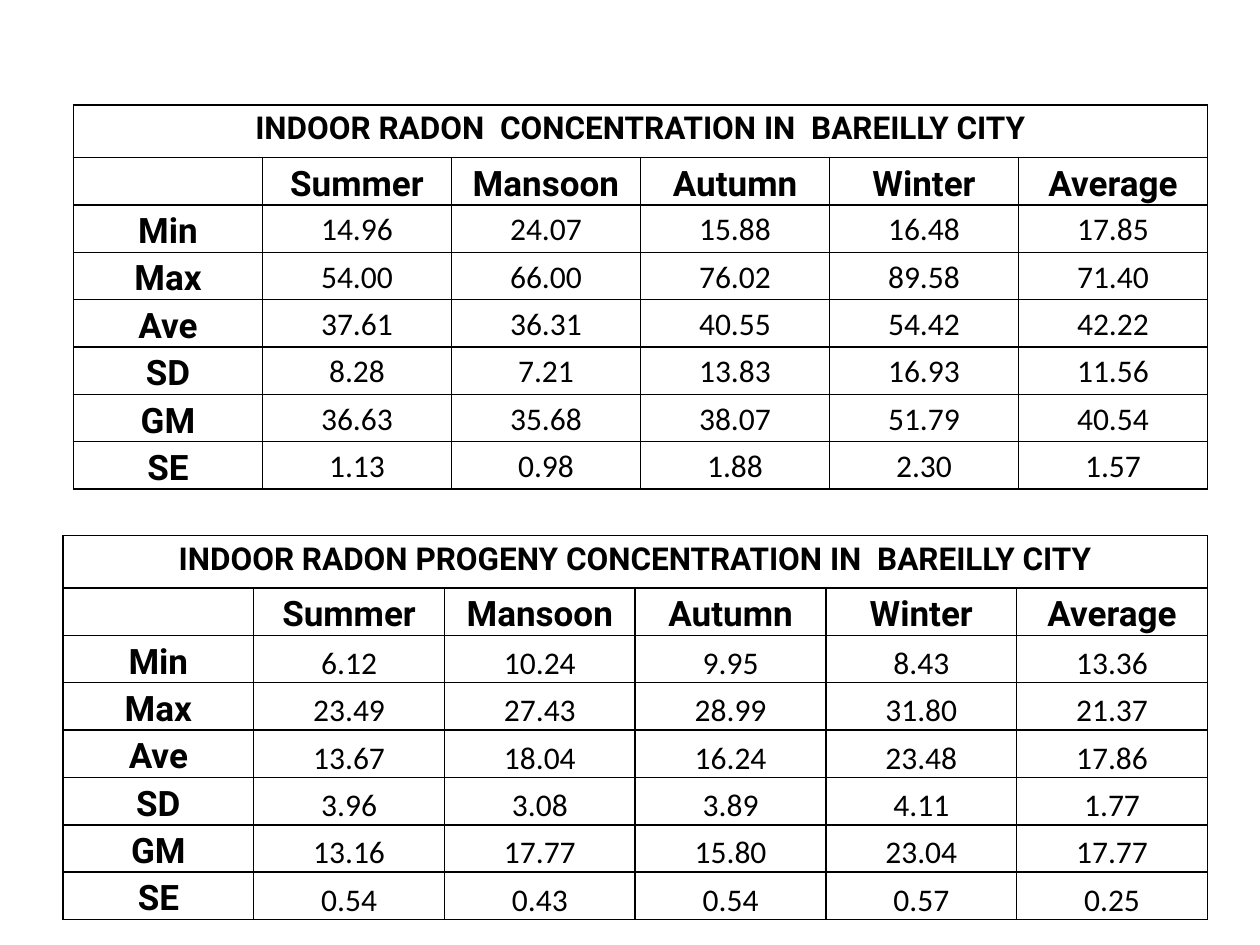
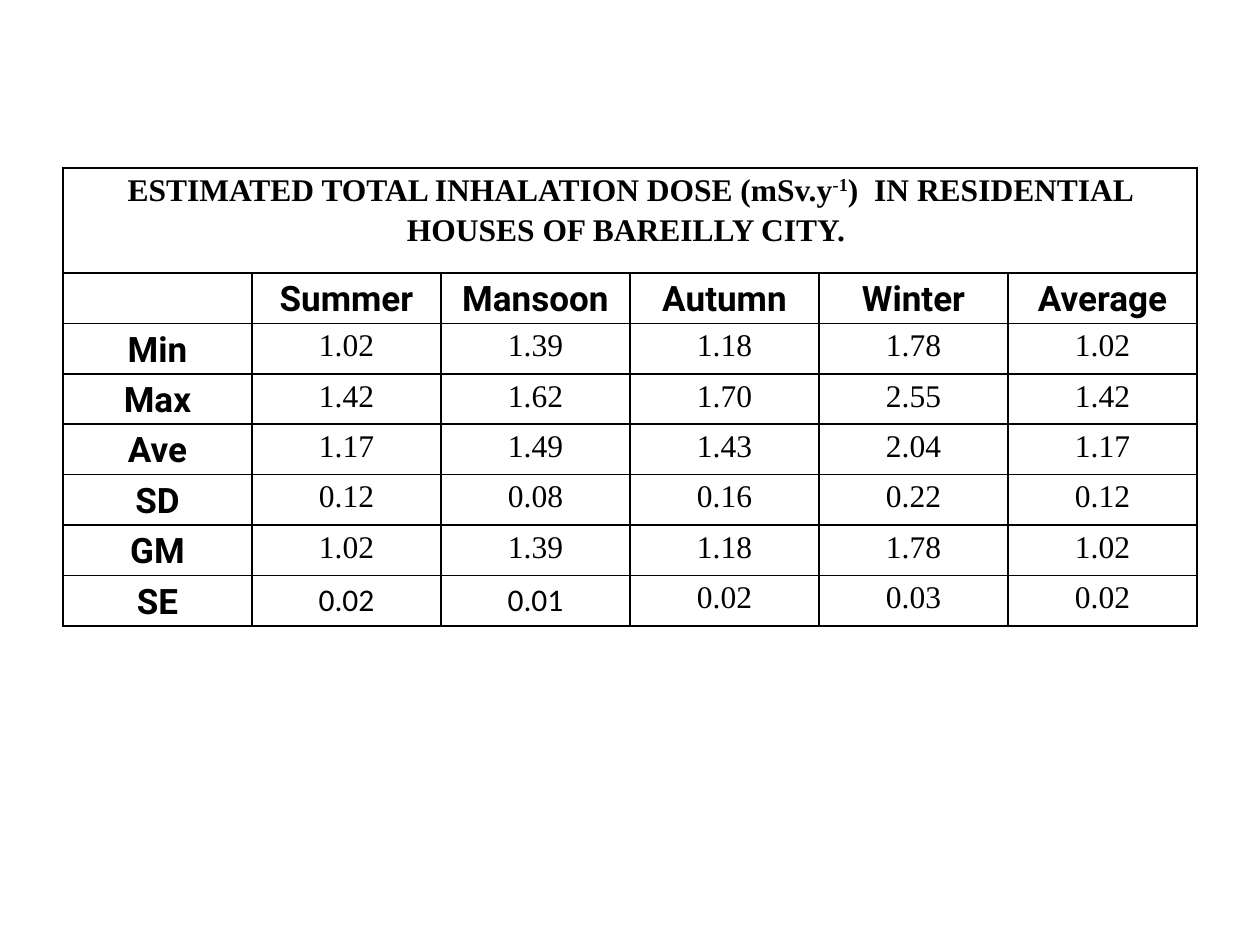
from dataclasses import dataclass, field

from lxml import etree
from pptx import Presentation
from pptx.dml.color import RGBColor
from pptx.enum.text import MSO_ANCHOR, PP_ALIGN
from pptx.oxml.ns import qn
from pptx.util import Emu, Inches, Pt

CENTER = PP_ALIGN.CENTER
TOP, BOTTOM = MSO_ANCHOR.TOP, MSO_ANCHOR.BOTTOM

SLIDE_W, SLIDE_H = Inches(10), Inches(7.5)
COL, ROW = SLIDE_W / 12, SLIDE_H / 9
BLACK = "000000"
HEAD_FONT, VALUE_FONT, SERIF = "Roboto", "Calibri", "Times New Roman"
SEASONS = ["Summer", "Mansoon", "Autumn", "Winter", "Average"]
STATISTICS = ["Min", "Max", " Ave ", "SD", "GM", "SE"]


@dataclass
class SeasonTable:
    """Places are in grid columns and rows; title pieces alternate normal and superscript."""
    title: list[str]
    left: float
    top: float
    width: float
    values: str
    title_height: float = 0.5
    row_height: float = 0.44
    title_font: str = HEAD_FONT
    value_font: str = VALUE_FONT
    value_margin: float = 0.06
    value_anchor: MSO_ANCHOR = TOP
    value_space_after: float = 0
    font_exceptions: dict[tuple[int, int], str] = field(default_factory=dict)


RADON = SeasonTable(
    ["INDOOR RADON  CONCENTRATION IN  BAREILLY CITY"], 0.7, 1, 10.8,
    """14.96 24.07 15.88 16.48 17.85
    54.00 66.00 76.02 89.58 71.40
    37.61 36.31 40.55 54.42 42.22
    8.28 7.21 13.83 16.93 11.56
    36.63 35.68 38.07 51.79 40.54
    1.13 0.98 1.88 2.30 1.57""",
    value_margin=0.07)

PROGENY = SeasonTable(
    ["INDOOR RADON PROGENY CONCENTRATION IN  BAREILLY CITY"], 0.6, 5.1, 10.9,
    """6.12 10.24 9.95 8.43 13.36
    23.49 27.43 28.99 31.80 21.37
    13.67 18.04 16.24 23.48 17.86
    3.96 3.08 3.89 4.11 1.77
    13.16 17.77 15.80 23.04 17.77
    0.54 0.43 0.54 0.57 0.25""",
    value_anchor=BOTTOM, value_space_after=10)

DOSE = SeasonTable(
    ["ESTIMATED TOTAL INHALATION DOSE (mSv.y", "-1",
     ")  IN RESIDENTIAL HOUSES OF BAREILLY CITY. "], 0.6, 1.6, 10.8,
    """1.02 1.39 1.18 1.78 1.02
    1.42 1.62 1.70 2.55 1.42
    1.17 1.49 1.43 2.04 1.17
    0.12 0.08 0.16 0.22 0.12
    1.02 1.39 1.18 1.78 1.02
    0.02 0.01 0.02 0.03 0.02""",
    title_height=1, row_height=0.48, title_font=SERIF, value_font=SERIF,
    font_exceptions={(5, 0): VALUE_FONT, (5, 1): VALUE_FONT})


def color(value: str) -> RGBColor:
    return RGBColor.from_string(value)


def frame_cell(cell) -> None:
    """Give a cell thin black borders and no fill."""
    tc_pr = cell._tc.get_or_add_tcPr()
    for side in ("lnL", "lnR", "lnT", "lnB"):
        line = etree.SubElement(tc_pr, qn(f"a:{side}"), w=str(Pt(1)))
        fill = etree.SubElement(line, qn("a:solidFill"))
        etree.SubElement(fill, qn("a:srgbClr"), val=BLACK)
    cell.fill.background()
    cell.margin_top = cell.margin_bottom = 0


def write_cell(cell, pieces: list[str], font: str, size: float, bold: bool = True,
               margin: float = 0.07, anchor: MSO_ANCHOR = TOP, space_after: float = 0) -> None:
    cell.margin_left = cell.margin_right = Inches(margin)
    cell.vertical_anchor = anchor
    p = cell.text_frame.paragraphs[0]
    p.alignment, p.line_spacing = CENTER, 1.15
    p.space_after = Pt(space_after)
    p.font.name, p.font.size, p.font.bold = font, Pt(size), bold
    p.font.color.rgb = color(BLACK)
    for i, piece in enumerate(pieces):
        r = p.add_run()
        r.text = piece
        if i % 2:
            r._r.get_or_add_rPr().set("baseline", "30000")


def add_season_table(s, spec: SeasonTable) -> None:
    n_rows, n_cols = len(STATISTICS) + 2, len(SEASONS) + 1
    height = spec.title_height + spec.row_height * (n_rows - 1)
    table = s.shapes.add_table(n_rows, n_cols, Emu(round(spec.left * COL)),
                               Emu(round(spec.top * ROW)), Emu(round(spec.width * COL)),
                               Emu(round(height * ROW))).table
    table.first_row = table.horz_banding = False
    for i, row in enumerate(table.rows):
        row.height = Emu(round((spec.row_height if i else spec.title_height) * ROW))
    for cell in table.iter_cells():
        frame_cell(cell)

    table.cell(0, 0).merge(table.cell(0, n_cols - 1))
    write_cell(table.cell(0, 0), spec.title, spec.title_font, 18)
    for j, season in enumerate(SEASONS, 1):
        write_cell(table.cell(1, j), [season], HEAD_FONT, 20)
    for i, (statistic, line) in enumerate(zip(STATISTICS, spec.values.splitlines())):
        write_cell(table.cell(i + 2, 0), [statistic], HEAD_FONT, 20)
        for j, value in enumerate(line.split()):
            font = spec.font_exceptions.get((i, j), spec.value_font)
            write_cell(table.cell(i + 2, j + 1), [value], font, 18, False,
                       spec.value_margin, spec.value_anchor, spec.value_space_after)


def main() -> None:
    prs = Presentation()
    prs.slide_width, prs.slide_height = SLIDE_W, SLIDE_H
    for tables in ([PROGENY, RADON], [DOSE]):
        s = prs.slides.add_slide(prs.slide_layouts[6])
        for table in tables:
            add_season_table(s, table)
    prs.save("out.pptx")


if __name__ == "__main__":
    main()
